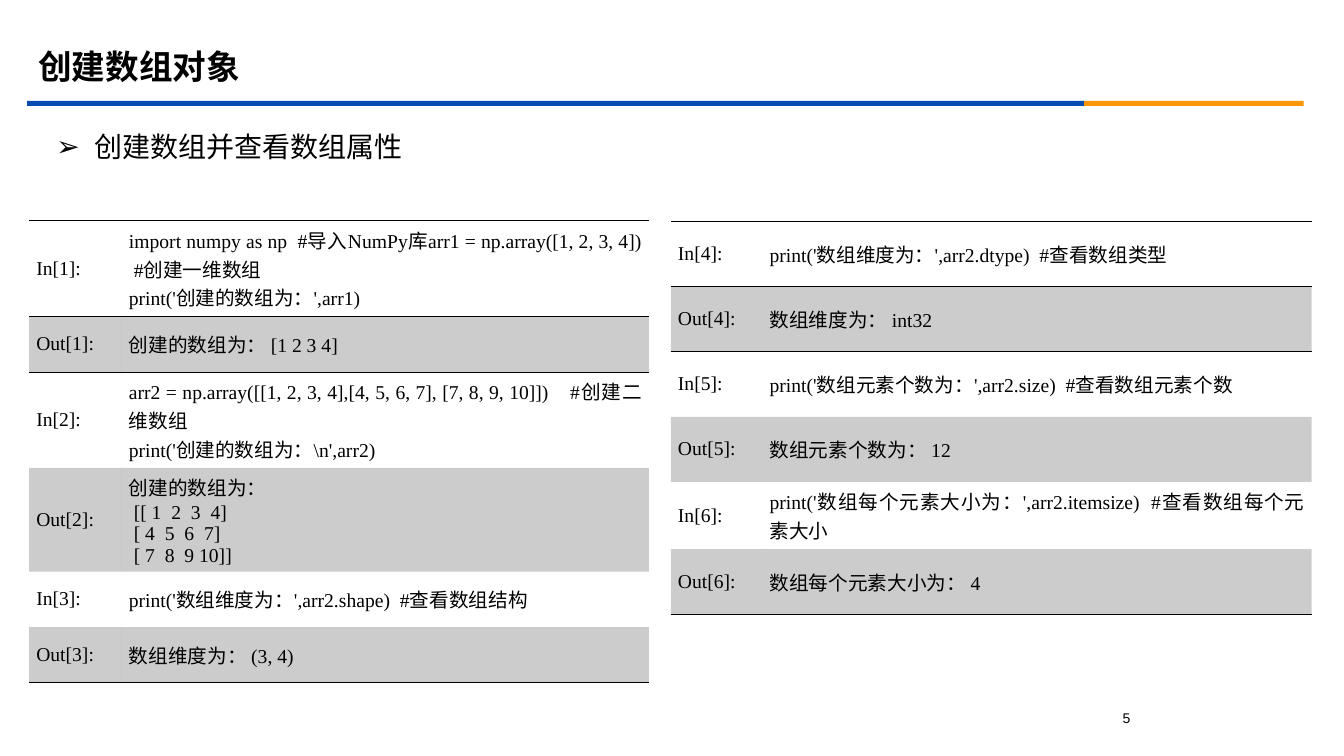
"""Build the slide on creating NumPy arrays and viewing their attributes."""
from dataclasses import dataclass

from lxml import etree
from pptx import Presentation
from pptx.dml.color import RGBColor
from pptx.enum.shapes import MSO_SHAPE
from pptx.enum.text import MSO_ANCHOR, MSO_AUTO_SIZE, PP_ALIGN
from pptx.oxml.ns import qn
from pptx.util import Inches, Pt

RECTANGLE = MSO_SHAPE.RECTANGLE
MIDDLE = MSO_ANCHOR.MIDDLE
NO_AUTOFIT = MSO_AUTO_SIZE.NONE
LEFT, CENTER, JUSTIFY = PP_ALIGN.LEFT, PP_ALIGN.CENTER, PP_ALIGN.JUSTIFY

TITLE = "创建数组对象"
TOPIC = "创建数组并查看数组属性"
PAGE_NUMBER = "5"

CREATE_ROWS = [
    (0.72, "In[1]:", ["import numpy as np  #导入NumPy库arr1 = np.array([1, 2, 3, 4])  #创建一维数组",
                      "print('创建的数组为：',arr1)"]),
    (0.55, "Out[1]:", ["创建的数组为： [1 2 3 4]"]),
    (0.72, "In[2]:", ["arr2 = np.array([[1, 2, 3, 4],[4, 5, 6, 7], [7, 8, 9, 10]])    #创建二维数组",
                      "print('创建的数组为：\\n',arr2)"]),
    (0.95, "Out[2]:", ["创建的数组为：", " [[ 1  2  3  4]", " [ 4  5  6  7]", " [ 7  8  9 10]]"]),
    (0.55, "In[3]:", ["print('数组维度为：',arr2.shape)  #查看数组结构"]),
    (0.55, "Out[3]:", ["数组维度为： (3, 4)"]),
]
ATTRIBUTE_ROWS = [
    (0.645, "In[4]:", ["print('数组维度为：',arr2.dtype)  #查看数组类型"]),
    (0.645, "Out[4]:", ["数组维度为： int32"]),
    (0.645, "In[5]:", ["print('数组元素个数为：',arr2.size)  #查看数组元素个数"]),
    (0.645, "Out[5]:", ["数组元素个数为： 12"]),
    (0.645, "In[6]:", ["print('数组每个元素大小为：',arr2.itemsize)  #查看数组每个元素大小"]),
    (0.645, "Out[6]:", ["数组每个元素大小为： 4"]),
]
LISTINGS = [
    ((0.29, 2.19), (0.92, 5.23), CREATE_ROWS),
    ((6.66, 2.2), (0.91, 5.45), ATTRIBUTE_ROWS),
]


@dataclass(frozen=True)
class Theme:
    """Colours, fonts and type sizes of the slide."""
    ink: str = "000000"
    blue: str = "064BB2"
    orange: str = "FB9708"
    font: str = "Times New Roman"
    number_font: str = "Arial"
    title_size: int = 24
    topic_size: int = 20
    code_size: int = 14
    number_size: int = 10
    shade_percent: int = 20
    rule_width: float = 0.45


THEME = Theme()
RULES = [((0.27, 1, 10.49, 0.05), THEME.blue), ((10.76, 1, 2.18, 0.05), THEME.orange)]
NO_STYLE = "{2D5ABB26-0587-4C30-8999-92F81FD0307C}"


def place(box, left, top, width, height):
    """Move and size a shape in inches."""
    box.left, box.top = Inches(left), Inches(top)
    box.width, box.height = Inches(width), Inches(height)


def write(para, text, size, align, font=THEME.font, bold=False):
    """Put text in a paragraph and format it."""
    para.text = text
    para.alignment = align
    para.font.name = font
    para.font.size = Pt(size)
    para.font.bold = bold
    para.font.color.rgb = RGBColor.from_string(THEME.ink)


def write_heading(box, place_at, text, size, bold=False):
    """Fill a placeholder with one left-aligned line."""
    place(box, *place_at)
    frame = box.text_frame
    frame.auto_size = NO_AUTOFIT
    frame.vertical_anchor = MIDDLE
    para = frame.paragraphs[0]
    write(para, text, size, LEFT, bold=bold)
    para.line_spacing = 0.9
    para.space_before = Pt(0)
    return para


def add_arrow_bullet(para):
    """Give a paragraph an arrow bullet with a hanging indent."""
    properties = para._p.get_or_add_pPr()
    properties.set("marL", str(Inches(0.38)))
    properties.set("indent", str(-Inches(0.38)))
    bullet = etree.Element(qn("a:buChar"), char="➢")
    properties.find(qn("a:defRPr")).addprevious(bullet)


def add_border(cell, tag):
    """Draw one border of a table cell."""
    line = etree.SubElement(cell._tc.get_or_add_tcPr(), qn(tag), w=str(Pt(THEME.rule_width)))
    fill = etree.SubElement(line, qn("a:solidFill"))
    etree.SubElement(fill, qn("a:srgbClr"), val=THEME.ink)


def shade(cell):
    """Fill a cell with translucent ink."""
    cell.fill.solid()
    cell.fill.fore_color.rgb = RGBColor.from_string(THEME.ink)
    colour = cell._tc.tcPr.find(qn("a:solidFill"))[0]
    etree.SubElement(colour, qn("a:alpha"), val=str(THEME.shade_percent * 1000))


def fill_cell(cell, lines, row, last_row):
    """Write code lines in a cell and apply its borders and shade."""
    cell.margin_left = cell.margin_right = Inches(0.07)
    cell.margin_top = cell.margin_bottom = Inches(0.05)
    cell.vertical_anchor = MIDDLE
    frame = cell.text_frame
    for index, text in enumerate(lines):
        para = frame.add_paragraph() if index else frame.paragraphs[0]
        write(para, text, THEME.code_size, JUSTIFY)
    if row in (0, 1):
        add_border(cell, "a:lnT")
    if row in (0, last_row):
        add_border(cell, "a:lnB")
    if row % 2:
        shade(cell)
    else:
        cell.fill.background()


def add_listing(page, corner, widths, rows):
    """Add a table of notebook inputs and outputs."""
    left, top = corner
    height = sum(row[0] for row in rows)
    table = page.shapes.add_table(len(rows), len(widths), Inches(left), Inches(top),
                                  Inches(sum(widths)), Inches(height)).table
    table.first_row = table.horz_banding = False
    table._tbl.tblPr.find(qn("a:tableStyleId")).text = NO_STYLE
    for column, width in zip(table.columns, widths):
        column.width = Inches(width)
    for index, (row_height, label, code) in enumerate(rows):
        table.rows[index].height = Inches(row_height)
        for column, lines in enumerate(([label], code)):
            fill_cell(table.cell(index, column), lines, index, len(rows) - 1)


def main():
    """Compose and save the slide."""
    deck = Presentation()
    deck.slide_width, deck.slide_height = Inches(13.34), Inches(7.5)
    page = deck.slides.add_slide(deck.slide_layouts[1])
    for position, colour in RULES:
        bar = page.shapes.add_shape(RECTANGLE, *map(Inches, position))
        bar.shadow.inherit = False
        bar.fill.solid()
        bar.fill.fore_color.rgb = RGBColor.from_string(colour)
        bar.line.fill.background()
    write_heading(page.shapes.title, (0.28, 0.39, 12, 0.58), TITLE, THEME.title_size, bold=True)
    topic = write_heading(page.placeholders[1], (0.46, 1.24, 12.15, 0.47), TOPIC, THEME.topic_size)
    add_arrow_bullet(topic)
    for listing in LISTINGS:
        add_listing(page, *listing)
    number = page.shapes.add_textbox(*map(Inches, (10.87, 6.99, 0.62, 0.25)))
    number.text_frame.word_wrap = True
    write(number.text_frame.paragraphs[0], PAGE_NUMBER, THEME.number_size, CENTER, THEME.number_font)
    deck.save("out.pptx")


if __name__ == "__main__":
    main()
